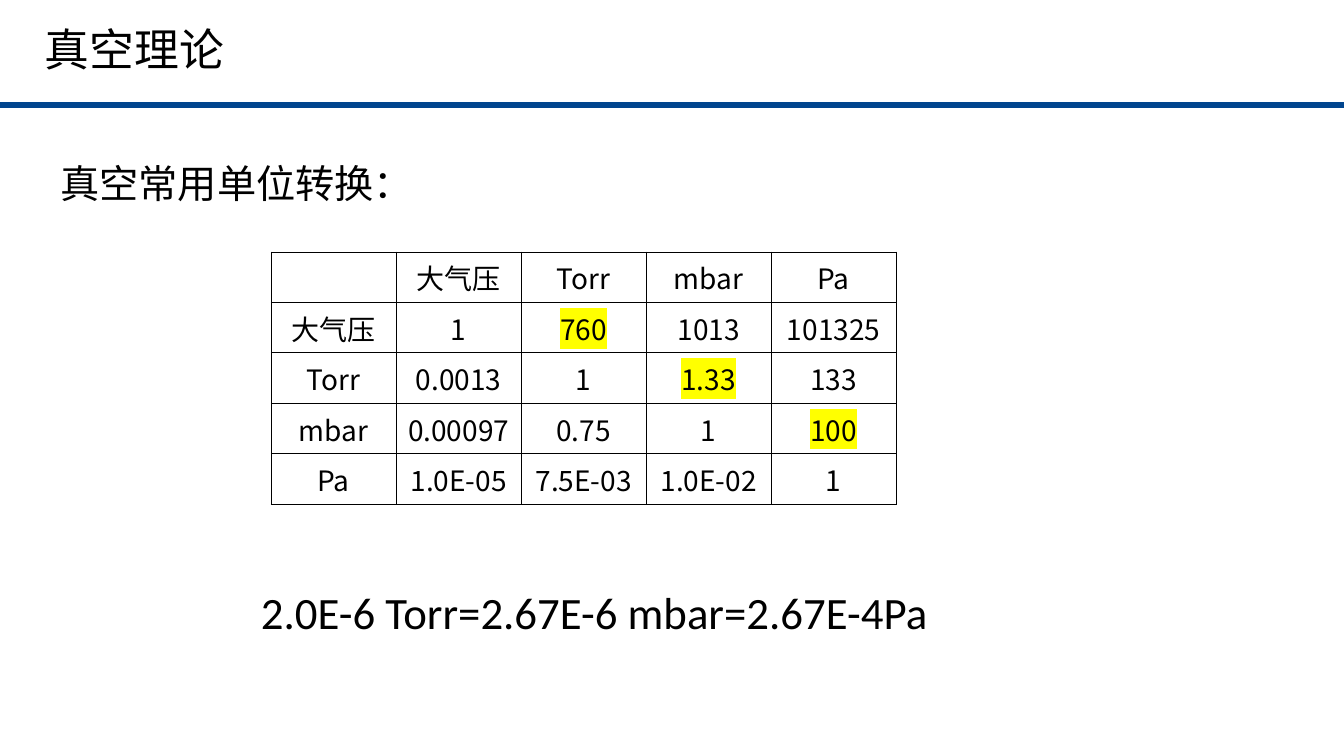
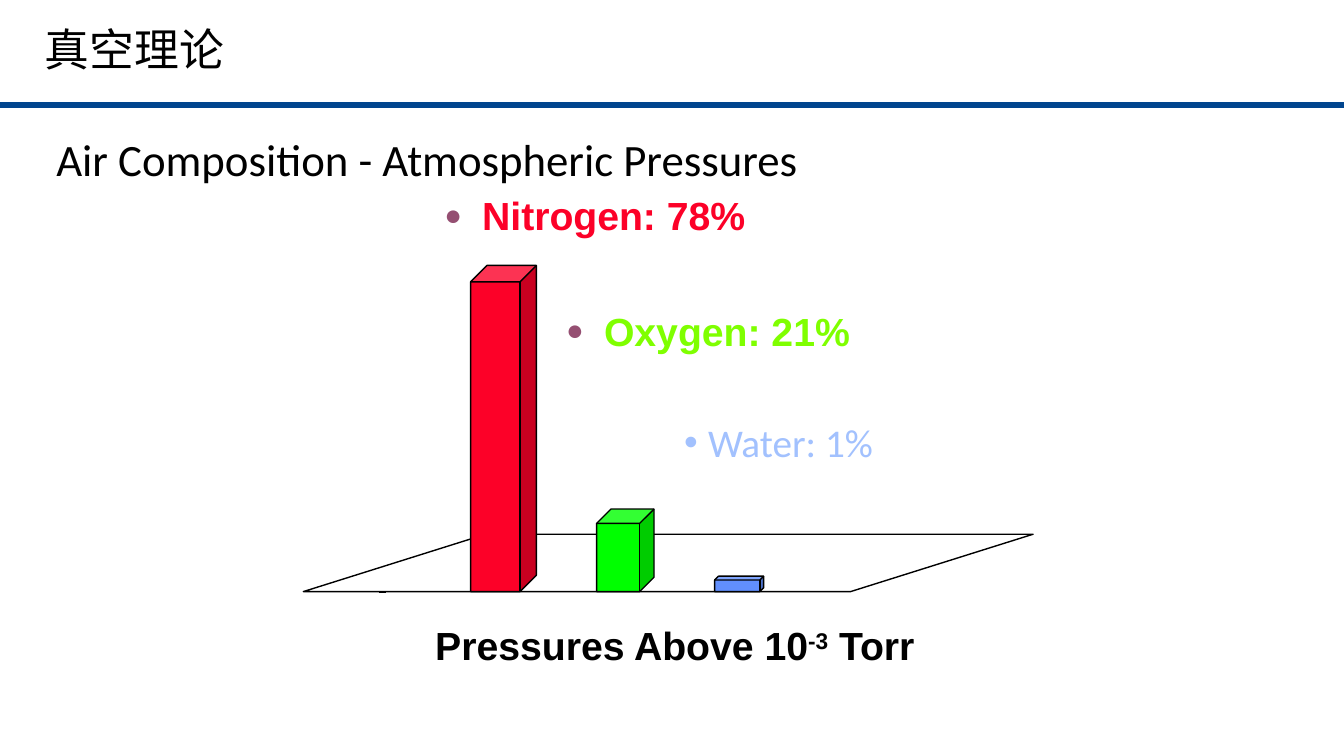
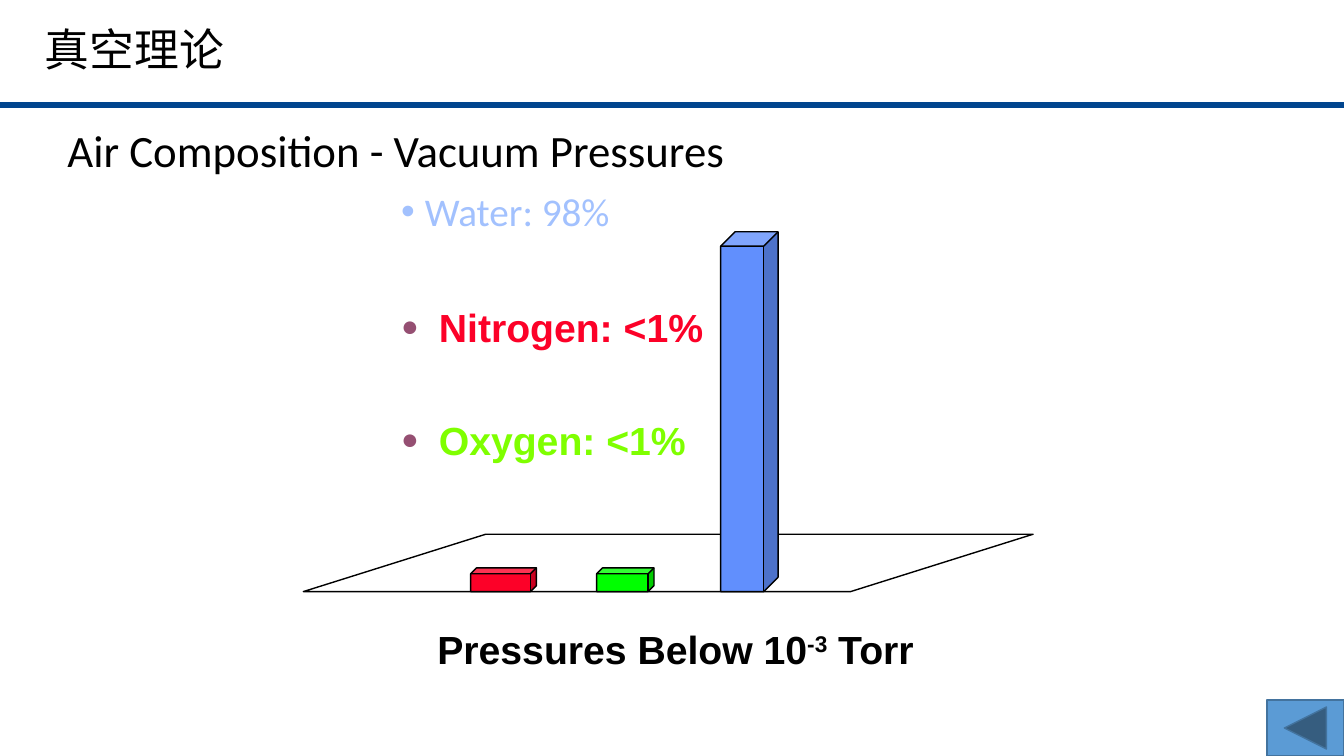
from lxml.etree import SubElement as Sub, Element
from pptx import Presentation
from pptx.dml.color import RGBColor
from pptx.enum.shapes import MSO_CONNECTOR as Wire, MSO_SHAPE as Form
from pptx.enum.text import MSO_ANCHOR as Anchor, MSO_AUTO_SIZE as Auto, PP_ALIGN as Align
from pptx.oxml.ns import qn
from pptx.util import Pt

INK, PAPER, NAVY, MARK = "000000", "FFFFFF", "01458E", "FFFF00"
RED, GREEN, BLUE = "FC0128", "00FF00", "618FFD"
LIME, SKY, PLUM = "7FFF00", "A2C1FE", "954F72"
HAN = "Noto Sans CJK SC"

# Name: text colour, font, bold, indent, bullet sign, bullet size, bullet colour
GASES = {
    "Nitrogen": (RED, "Arial", True, 27, "●", 75, PLUM),
    "Oxygen": (LIME, "Arial", True, 27, "●", 75, PLUM),
    "Water": (SKY, "Calibri", False, 17, "•", 100, SKY),
}

UNITS = [
    ["", "大气压", "Torr", "mbar", "Pa"],
    ["大气压", "1", "760", "1013", "101325"],
    ["Torr", "0.0013", "1", "1.33", "133"],
    ["mbar", "0.00097", "0.75", "1", "100"],
    ["Pa", "1.0E-05", "7.5E-03", "1.0E-02", "1"],
]


def tint(code):
    return RGBColor.from_string(code)


def points(*sizes):
    return [Pt(size) for size in sizes]


def style(para, size, face="Calibri", hue=INK, bold=False):
    font = para.font
    font.size, font.name, font.bold = Pt(size), face, bold
    font.color.rgb = tint(hue)
    Sub(para._p.pPr.find(qn("a:defRPr")), qn("a:ea"), typeface=HAN)


def write(slide, words, box, size, **look):
    frame = slide.shapes.add_textbox(*points(*box)).text_frame
    frame.word_wrap = True
    para = frame.paragraphs[0]
    para.text = words
    style(para, size, **look)
    return para


def wire(slide, start, end, hue, width):
    line = slide.shapes.add_connector(Wire.STRAIGHT, *points(*start, *end))
    line.line.color.rgb, line.line.width = tint(hue), Pt(width)
    Sub(line._element.spPr, qn("a:effectLst"))


def solid(slide, form, box, fill, edge=INK):
    shape = slide.shapes.add_shape(form, *points(*box))
    shape.shadow.inherit = False
    shape.fill.solid()
    shape.fill.fore_color.rgb = tint(fill)
    shape.line.color.rgb, shape.line.width = tint(edge), Pt(1)
    return shape


def page(deck, words, box, size=32):
    """Add a slide with the shared band and its own title."""
    slide = deck.slides.add_slide(deck.slide_layouts[5])
    wire(slide, (0, 75), (962, 75), NAVY, 4.5)
    write(slide, "真空理论", (25, 12.2, 482, 46), 32, face=HAN)
    title = slide.shapes.title
    title.left, title.top, title.width, title.height = points(*box)
    frame = title.text_frame
    frame.text = words
    frame.auto_size, frame.vertical_anchor = Auto.NONE, Anchor.MIDDLE
    para = frame.paragraphs[0]
    para.alignment, para.line_spacing = Align.LEFT, 0.9
    style(para, size)
    return slide


def border(cell):
    props = cell._tc.get_or_add_tcPr()
    for spot, side in enumerate(("lnL", "lnR", "lnT", "lnB")):
        line = Element(qn("a:" + side), w=str(Pt(0.5)))
        Sub(Sub(line, qn("a:solidFill")), qn("a:srgbClr"), val=INK)
        props.insert(spot, line)


def grid(slide, rows, left, top, wide, high):
    """Draw a unit table, marking the step from each unit to the next."""
    count = len(rows)
    table = slide.shapes.add_table(
        count, count, *points(left, top, wide * count, high * count)).table
    table.first_row = table.horz_banding = False
    for r, row in enumerate(rows):
        table.rows[r].height = Pt(high)
        table.columns[r].width = Pt(wide)
        for c, words in enumerate(row):
            cell = table.cell(r, c)
            cell.fill.solid()
            cell.fill.fore_color.rgb = tint(PAPER)
            border(cell)
            cell.vertical_anchor = Anchor.MIDDLE
            cell.margin_left = cell.margin_right = cell.margin_top = Pt(0.7)
            cell.margin_bottom = 0
            para = cell.text_frame.paragraphs[0]
            para.text, para.alignment = words, Align.CENTER
            style(para, 20, face=HAN)
            if r and c == r + 1:
                props = para.runs[0]._r.get_or_add_rPr()
                Sub(Sub(props, qn("a:highlight")), qn("a:srgbClr"), val=MARK)


def label(slide, gas, share, left, top):
    hue, face, bold, indent, sign, scale, dot = GASES[gas]
    para = write(slide, "", (left, top, 246, 45), 28)
    para.text = f"{gas}: {share}"
    props = para._p.get_or_add_pPr()
    props.remove(props.find(qn("a:defRPr")))
    props.set("marL", str(Pt(indent)))
    props.set("indent", str(Pt(-indent)))
    Sub(Sub(props, qn("a:buClr")), qn("a:srgbClr"), val=dot)
    Sub(props, qn("a:buSzPct"), val=str(scale * 1000))
    Sub(props, qn("a:buFont"), typeface="Arial")
    Sub(props, qn("a:buChar"), char=sign)
    style(para, 28, face, hue, bold)


def stage(slide, left, base, bars):
    """Stand cubes, given as offset, width, height and fill, on a floor."""
    floor = solid(slide, Form.PARALLELOGRAM, (left, base - 41, 521.3, 41), PAPER)
    floor.adjustments[0] = 3.18
    for shift, wide, high, fill in bars:
        cube = solid(slide, Form.CUBE, (left + shift, base - high, wide, high), fill)
        cube.adjustments[0] = 0.25


def caption(slide, side, left, top):
    para = write(slide, f"Pressures {side} 10", (left, top, 400, 45), 28,
                 face="Arial", bold=True)
    for words, lift in (("-3", "30000"), (" Torr", "0")):
        run = para.add_run()
        run.text = words
        run._r.get_or_add_rPr().set("baseline", lift)


def units(deck):
    slide = page(deck, "真空常用单位转换：", (36, 112.3, 487, 41), 28)
    grid(slide, UNITS, 193.7, 180, 89.3, 36)
    write(slide, "2.0E-6 Torr=2.67E-6 mbar=2.67E-4Pa", (179.3, 414, 602, 46), 32)


def air(deck, words, box, bars, labels, side, foot):
    slide = page(deck, words, box)
    stage(slide, 216.7, 422.6, bars)
    for item in labels:
        label(slide, *item)
    caption(slide, side, *foot)
    return slide


def main():
    deck = Presentation()
    deck.slide_width, deck.slide_height = points(960, 540)
    units(deck)
    slide = air(
        deck, "Air Composition - Atmospheric Pressures", (33, 63.4, 828, 104.4),
        [(119.5, 47, 233, RED), (209.5, 41, 59, GREEN), (293.8, 35, 11, BLUE)],
        [("Nitrogen", "78%", 310.3, 133.2), ("Oxygen", "21%", 397.4, 216),
         ("Water", "1%", 481.7, 295.2)],
        "Above", (303.8, 440.6))
    wire(slide, (270.7, 423.2), (275.8, 423.2), INK, 1)
    slide = air(
        deck, "Air Composition - Vacuum Pressures", (41, 57, 828, 104.4),
        [(119.5, 47, 17, RED), (209.5, 41, 17, GREEN), (298.1, 41, 257, BLUE)],
        [("Water", "98%", 279.4, 130.3), ("Nitrogen", "<1%", 279.4, 213.1),
         ("Oxygen", "<1%", 279.4, 293.8)],
        "Below", (305.3, 442.8))
    solid(slide, Form.ACTION_BUTTON_BACK_OR_PREVIOUS, (905, 500, 55, 40),
          "5B9BD5", "43739E")
    deck.save("out.pptx")


if __name__ == "__main__":
    main()
